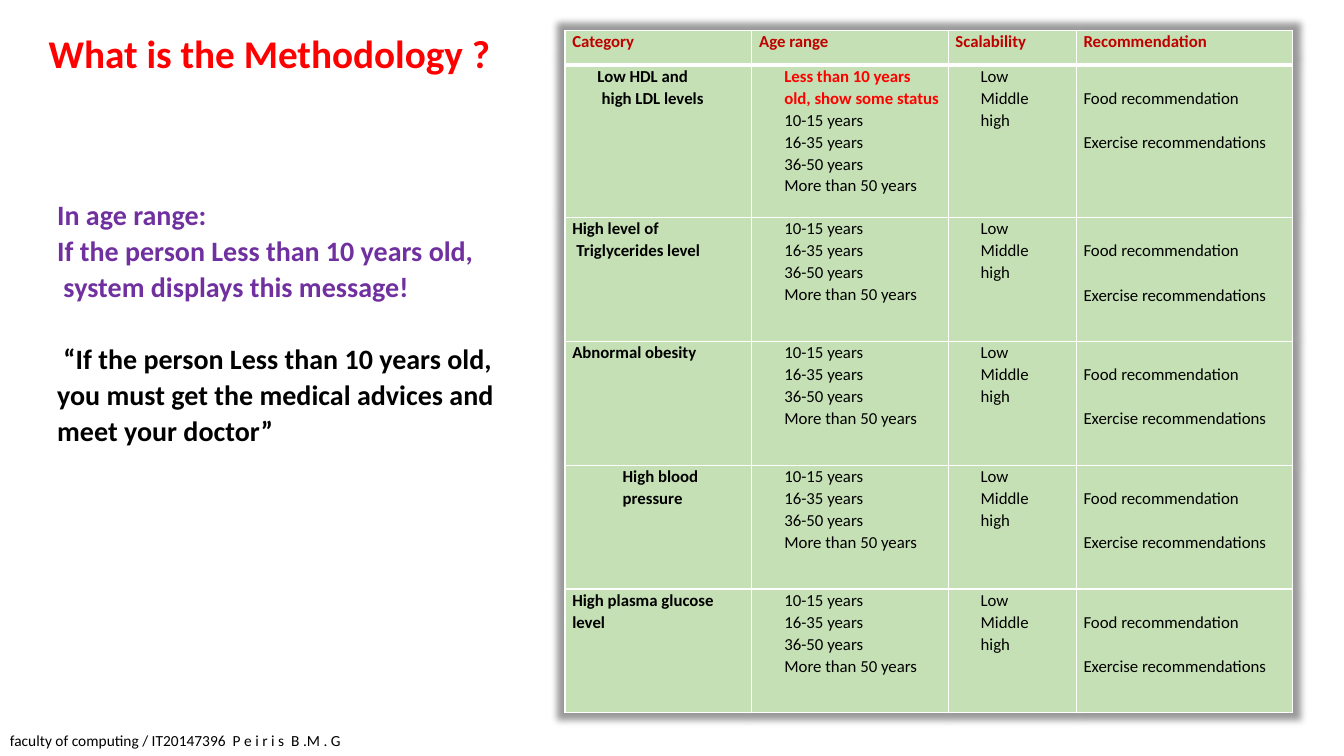
from lxml import etree
from pptx import Presentation
from pptx.dml.color import RGBColor
from pptx.enum.text import MSO_ANCHOR
from pptx.oxml import parse_xml
from pptx.oxml.ns import nsdecls
from pptx.util import Pt

PX = 9525
FONT = "Calibri"
BLACK, WHITE, RED = "000000", "FFFFFF", "FF0000"
DARK_RED, PURPLE, GREEN = "C00000", "7030A0", "C5E0B4"
LINE = 1.07
INDENT = 24

HEADERS = ["Category", "Age range", "Scalability", "Recommendation"]
COL_WIDTHS = [178, 187, 122, 206]
ROW_HEIGHTS = [33, 145, 118, 118, 118, 118]
# Each category is a list of (text, indent) lines
CATEGORIES = [
    [("Low HDL and", INDENT), ("high LDL levels", INDENT + 4)],
    [("High level of", 0), ("Triglycerides level", 4)],
    [("Abnormal obesity", 0)],
    [("High blood pressure", 2 * INDENT)],
    [("High plasma glucose level", 0)],
]
AGES = ["10-15 years", "16-35 years", "36-50 years", "More than 50 years"]
LEVELS = ["Low", "Middle", "high"]


def px(n):
    return int(n * PX)


def rgb(value):
    return RGBColor.from_string(value)


def line(text, indent=0, color=BLACK, bold=False, size=12, before=0, spacing=LINE):
    return {"text": text, "indent": indent, "color": color,
            "font": {"name": FONT, "size": Pt(size), "bold": bold},
            "para": {"line_spacing": spacing, "space_before": Pt(before)}}


def write(tf, lines):
    tf.word_wrap = True
    for i, item in enumerate(lines):
        p = tf.paragraphs[0] if i == 0 else tf.add_paragraph()
        if item["indent"]:
            pPr = p._p.get_or_add_pPr()
            pPr.set("marL", str(px(item["indent"])))
            pPr.set("indent", "0")
        for name, value in item["para"].items():
            setattr(p, name, value)
        r = p.add_run()
        r.text = item["text"]
        for name, value in item["font"].items():
            setattr(r.font, name, value)
        r.font.color.rgb = rgb(item["color"])


def add_text(slide, box, lines, anchor=MSO_ANCHOR.TOP):
    tf = slide.shapes.add_textbox(*map(px, box)).text_frame
    tf.vertical_anchor = anchor
    write(tf, lines)


def add_border(cell, side, width):
    cell._tc.get_or_add_tcPr().append(parse_xml(
        f'<a:ln{side} {nsdecls("a")} w="{Pt(width)}"><a:solidFill>'
        f'<a:srgbClr val="{WHITE}"/></a:solidFill></a:ln{side}>'))


def add_shadow(table):
    """Put a soft shadow around the whole table."""
    table._tbl.tblPr.insert(0, parse_xml(
        f'<a:effectLst {nsdecls("a")}><a:outerShdw blurRad="63500" sx="102000" '
        'sy="102000" algn="ctr" rotWithShape="0"><a:srgbClr val="000000">'
        '<a:alpha val="40000"/></a:srgbClr></a:outerShdw></a:effectLst>'))


def table_rows():
    yield [[line(text, color=DARK_RED, bold=True)] for text in HEADERS]
    for i, category in enumerate(CATEGORIES):
        ages = [line(text, INDENT) for text in AGES]
        if i == 0:
            ages.insert(0, line("Less than 10 years old, show some status",
                                INDENT, RED, True))
        yield [[line(text, indent, bold=True) for text, indent in category],
               ages,
               [line(text, INDENT) for text in LEVELS],
               [line("Food recommendation"),
                line("Exercise recommendations", before=16)]]


def add_category_table(slide, left, top):
    frame = slide.shapes.add_table(
        len(ROW_HEIGHTS), len(COL_WIDTHS), px(left), px(top),
        px(sum(COL_WIDTHS)), px(sum(ROW_HEIGHTS)))
    table = frame.table
    table.horz_banding = False
    add_shadow(table)
    for col, width in zip(table.columns, COL_WIDTHS):
        col.width = px(width)
    for row, height in zip(table.rows, ROW_HEIGHTS):
        row.height = px(height)
    for i, row in enumerate(table_rows()):
        for j, lines in enumerate(row):
            cell = table.cell(i, j)
            in_advice = i > 0 and j == len(HEADERS) - 1
            margins = {"margin_left": 7, "margin_right": 7, "margin_bottom": 0,
                       "margin_top": 21 if in_advice else 0}
            for name, value in margins.items():
                setattr(cell, name, px(value))
            widths = {"L": 1, "R": 1, "T": 3 if i == 1 else 1, "B": 3 if i == 0 else 1}
            for side, width in widths.items():
                add_border(cell, side, width)
            cell.fill.solid()
            cell.fill.fore_color.rgb = rgb(GREEN)
            write(cell.text_frame, lines)


def add_age_message(slide, box):
    rule = {"color": PURPLE, "bold": True, "size": 20}
    quote = {"bold": True, "size": 20}
    add_text(slide, box, [
        line("In age range:", INDENT, **rule),
        line("If the person Less than 10 years old,", INDENT, **rule),
        line("system displays this message!", INDENT + 6, **rule),
        line("“If the person Less than 10 years old,", INDENT + 6, before=26, **quote),
        line("you must get the medical advices and meet your doctor”", INDENT, **quote),
    ])


def main():
    prs = Presentation()
    prs.slide_width, prs.slide_height = px(1280), px(720)
    slide = prs.slides.add_slide(prs.slide_layouts[6])
    add_text(slide, (37, 7, 472, 92),
             [line("What is the Methodology ?", color=RED, bold=True, size=28, spacing=0.9)],
             MSO_ANCHOR.MIDDLE)
    add_text(slide, (0, 695, 361, 25),
             [line("faculty of computing / IT20147396  P e i r i s  B .M . G",
                   size=11, spacing=0.8)])
    add_category_table(slide, 538, 29)
    add_age_message(slide, (21, 181, 504, 251))
    prs.save("out.pptx")


if __name__ == "__main__":
    main()
